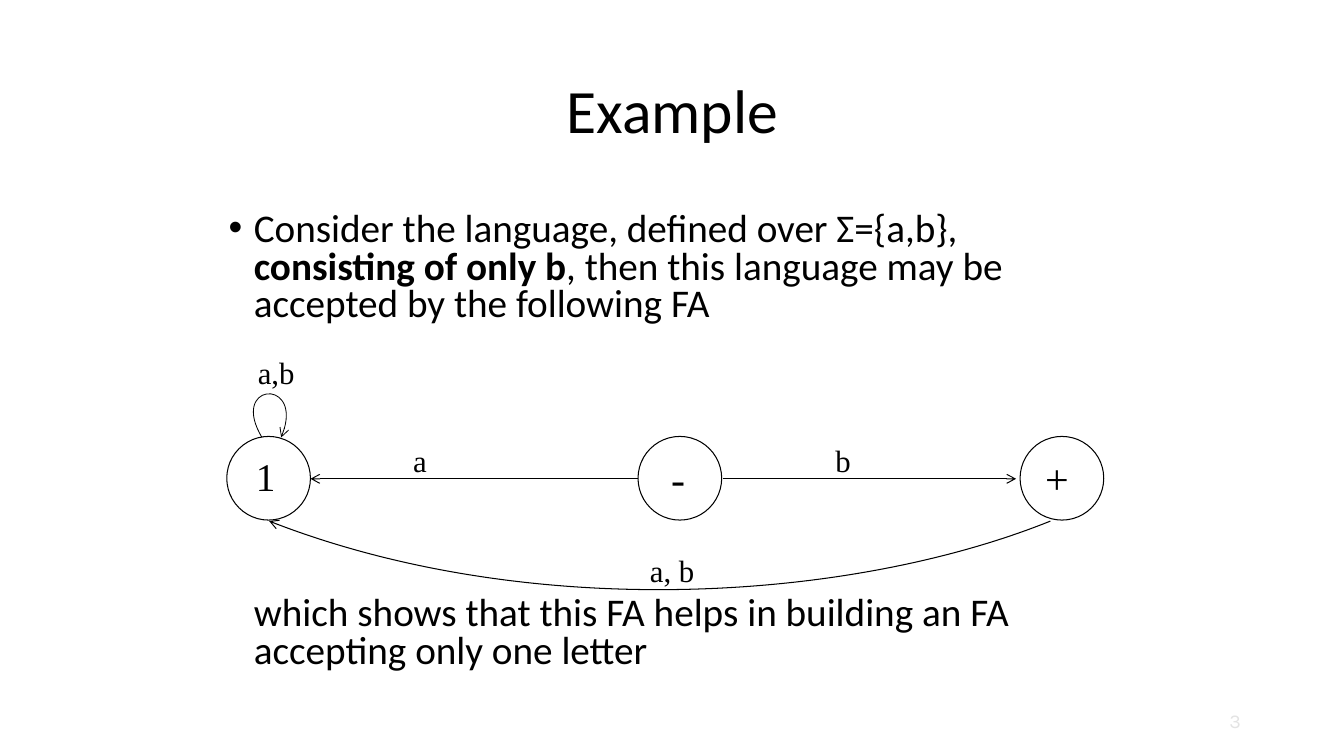
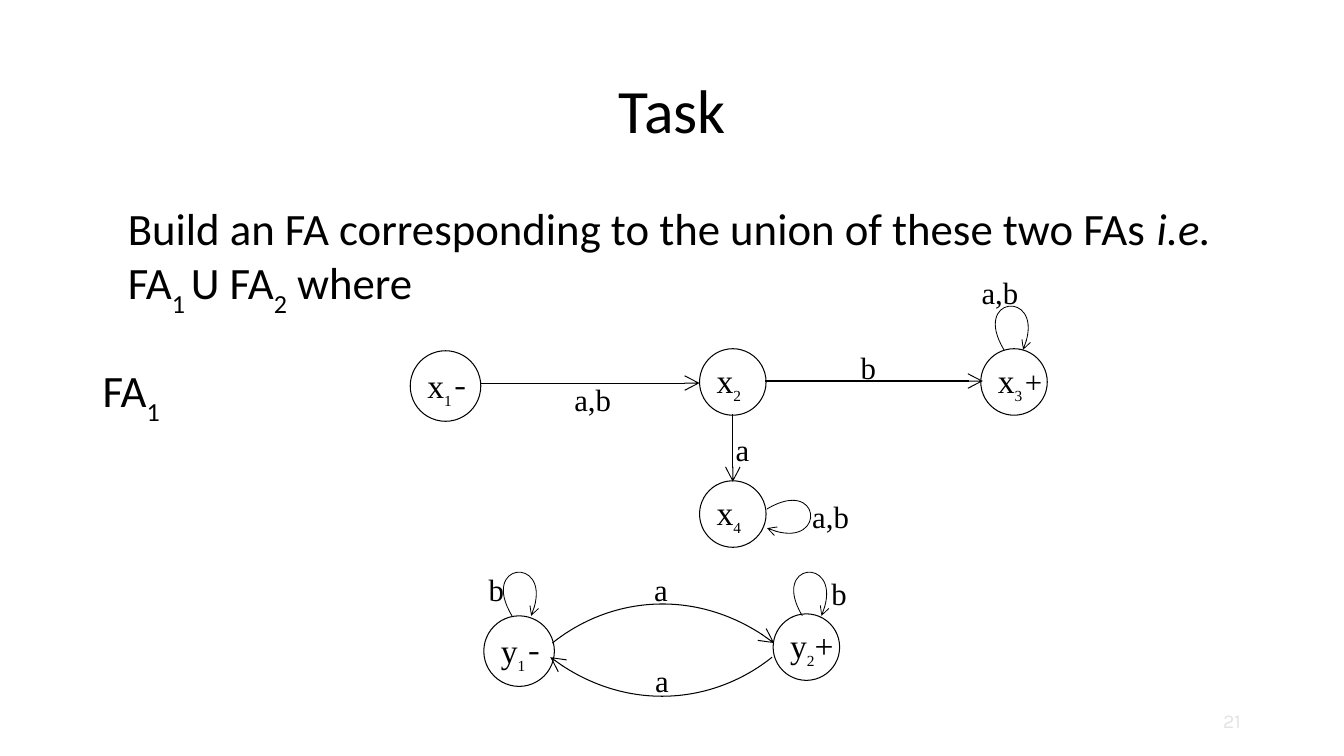
from lxml.etree import SubElement
from pptx import Presentation
from pptx.dml.color import RGBColor
from pptx.enum.shapes import MSO_CONNECTOR, MSO_SHAPE
from pptx.enum.text import MSO_ANCHOR, PP_ALIGN
from pptx.oxml.ns import qn
from pptx.util import Inches, Pt

SANS, SERIF, PLAIN = "Calibri", "Times New Roman", "Karla"
INK, PAPER, PALE = "000000", "FFFFFF", "E3E3E3"
SUB = {"base": -30}
LOOP = [(-3.2, -5.3), (4.4, -6), (1.9, 0)]


def cell(count):
    """Length of a number of grid cells, ten to the inch."""
    return Inches(count / 10)


def hue(code):
    return RGBColor.from_string(code)


class Deck:
    """Holds the style and the current slide; lengths are grid cells."""

    def __init__(self):
        self.file = Presentation()
        self.file.slide_width = cell(133.33)
        self.file.slide_height = cell(75)

    def page(self, title, number):
        self.slide = self.file.slides.add_slide(self.file.slide_layouts[6])
        self.text((9.2, 4, 115, 14.5), title, 44, SANS, gap=0.9,
                  align=PP_ALIGN.CENTER, anchor=MSO_ANCHOR.MIDDLE)
        self.text((114.1, 69.5, 10, 4), number, 14, PLAIN, color=PALE,
                  align=PP_ALIGN.RIGHT, anchor=MSO_ANCHOR.MIDDLE)

    def text(self, area, parts, size, font, color=INK, gap=1, bullet=False,
             align=PP_ALIGN.LEFT, anchor=MSO_ANCHOR.TOP):
        """Add a text box; parts is a string or a list of (text, style)."""
        box = self.slide.shapes.add_textbox(*map(cell, area))
        frame = box.text_frame
        frame.word_wrap = True
        frame.vertical_anchor = anchor
        para = frame.paragraphs[0]
        para.alignment = align
        para.line_spacing = gap
        if bullet:
            props = para._p.get_or_add_pPr()
            props.set("marL", str(Inches(0.25)))
            props.set("indent", str(Inches(-0.25)))
            SubElement(props, qn("a:buFont")).set("typeface", "Arial")
            SubElement(props, qn("a:buChar")).set("char", "•")
        if isinstance(parts, str):
            parts = [(parts, {})]
        for words, style in parts:
            run = para.add_run()
            run.text = words
            run.font.size = Pt(style.get("size", size))
            run.font.name = style.get("font", font)
            run.font.color.rgb = hue(color)
            run.font.bold = style.get("bold", False)
            run.font.italic = style.get("italic", False)
            if "base" in style:
                run._r.get_or_add_rPr().set("baseline", str(style["base"] * 1000))

    def body(self, area, parts, size, gap, bullet=False):
        self.text(area, parts, size, SANS, gap=gap, bullet=bullet)

    def label(self, x, y, words):
        self.text((x, y, 10, 4.5), words, 22, SERIF)

    def pen(self, shape, width=0.75, head=None):
        """Set the outline, with an arrowhead of size head at its end."""
        shape.line.color.rgb = hue(INK)
        shape.line.width = Pt(width)
        if head:
            tip = SubElement(shape._element.spPr.find(qn("a:ln")), qn("a:tailEnd"))
            for key, value in (("type", "arrow"), ("w", head), ("len", head)):
                tip.set(key, value)

    def state(self, x, y, side, parts, size, shift):
        """Add a circle with its name, shifted from the circle's corner."""
        ring = self.slide.shapes.add_shape(
            MSO_SHAPE.OVAL, *map(cell, (x, y, side, side)))
        ring.shadow.inherit = False
        ring.fill.solid()
        ring.fill.fore_color.rgb = hue(PAPER)
        self.pen(ring)
        self.text((x + shift[0], y + shift[1], 8.5, 5), parts, size, SERIF)

    def arrow(self, start, end, head="med"):
        link = self.slide.shapes.add_connector(
            MSO_CONNECTOR.STRAIGHT, *map(cell, start + end))
        self.pen(link, head=head)
        SubElement(link._element.spPr, qn("a:effectLst"))

    def curve(self, start, bends, width=0.75, head="med"):
        """Draw a cubic curve; bends are two control points and the end."""
        pen = self.slide.shapes.build_freeform(*map(cell, start))
        pen.add_line_segments([tuple(map(cell, spot)) for spot in bends],
                              close=False)
        shape = pen.convert_to_shape()
        legs = list(shape._element.iter(qn("a:lnTo")))
        cubic = SubElement(legs[0].getparent(), qn("a:cubicBezTo"))
        for leg in legs:
            cubic.append(leg[0])
            leg.getparent().remove(leg)
        shape.shadow.inherit = False
        shape.fill.background()
        self.pen(shape, width, head)

    def loop(self, x, y, side=False):
        """Draw a self loop above a state, or to its right."""
        turns = [(-v, u) if side else (u, v) for u, v in LOOP]
        self.curve((x, y), [(x + u, y + v) for u, v in turns], 0.6)


def name(letter, index, *sign):
    return [(letter, {}), (index, {"size": 19, **SUB}), *sign]


def example(deck):
    deck.page("Example", "3")
    deck.body((21.7, 20.6, 89.4, 13), [
        ("Consider the language, defined over Σ={a,b}, ", {}),
        ("consisting of only b", {"bold": True}),
        (", then this language may be accepted by the following FA", {}),
    ], 28, 0.8, bullet=True)
    deck.body((24.2, 58.7, 86.9, 10), "which shows that this FA helps in "
              "building an FA accepting only one letter", 28, 0.8)
    for x, sign, size, inset in ((22.5, "1", 28, 1.9), (63.3, "-", 30, 2.3),
                                 (101.2, "+", 30, 1.5)):
        deck.state(x, 43.3, 8.3, sign, size, (inset, 1.1))
    deck.arrow((63.3, 47.5), (30.8, 47.5))
    deck.arrow((71.7, 47.5), (100.8, 47.5))
    deck.loop(26, 43.4)
    deck.curve((104.2, 51.7), [(84.3, 59.7), (52.2, 61.7), (26.7, 51.7)])
    for x, y, words in ((40, 43.3, "a"), (24.6, 34.6, "a,b"),
                        (81.9, 43.3, "b"), (63.5, 54.2, "a, b")):
        deck.label(x, y, words)


def task(deck):
    deck.page("Task", "21")
    deck.body((11.7, 20, 112.5, 12), [
        ("Build an FA corresponding to the union of these two FAs ", {}),
        ("i.e. ", {"italic": True}), ("FA", {}), ("1 ", SUB),
        ("U FA", {}), ("2", SUB), (" where", {})], 32, 0.9)
    deck.body((9.2, 35.5, 15, 7), [("FA", {}), ("1", SUB)], 32, 0.9)
    thin = (" ", {"size": 13, **SUB})
    minus = (thin, ("-", {"font": PLAIN}))
    for x, y, side, parts in (
            (40.7, 34.8, 7, name("x", "1", *minus)),
            (69.4, 34.6, 6.6, name("x", "2")),
            (97.3, 34.6, 6.6, name("x", "3", thin, ("+", {"size": 22}))),
            (69.4, 47.7, 6.6, name("x", "4")),
            (48, 61.1, 7, name("y", "1", *minus)),
            (76.7, 60.9, 6.6, name("y", "2", ("+", {})))):
        deck.state(x, y, side, parts, 24, (0.7, 0.9 if side == 7 else 0.6))
    for start, end in (((47.7, 38), (69.4, 38)), ((75.9, 37.8), (97.5, 37.8)),
                       ((72.7, 41.1), (72.7, 47.8))):
        deck.arrow(start, end, "lg")
    deck.curve((54.8, 63.8), [(60.4, 59.3), (69.5, 58.2), (76.8, 63.8)], head="lg")
    deck.curve((76.6, 65.2), [(71, 69.7), (61.9, 70.8), (54.6, 65.2)], head="lg")
    for x, y in ((99.6, 34.7), (50.8, 61.1), (79.6, 61.1)):
        deck.loop(x, y)
    deck.loop(76.1, 50.5, side=True)
    for x, y, words in (
            (96.4, 26.7, "a,b"), (84.4, 34.1, "b"), (56, 37.3, "a,b"),
            (79.6, 48.9, "a,b"), (72, 42.2, "a"), (63.9, 56.1, "a"),
            (64, 65.2, "a"), (81.5, 56.5, "b"), (47.5, 56.1, "b")):
        deck.label(x, y, words)


def main():
    deck = Deck()
    example(deck)
    task(deck)
    deck.file.save("out.pptx")


if __name__ == "__main__":
    main()
